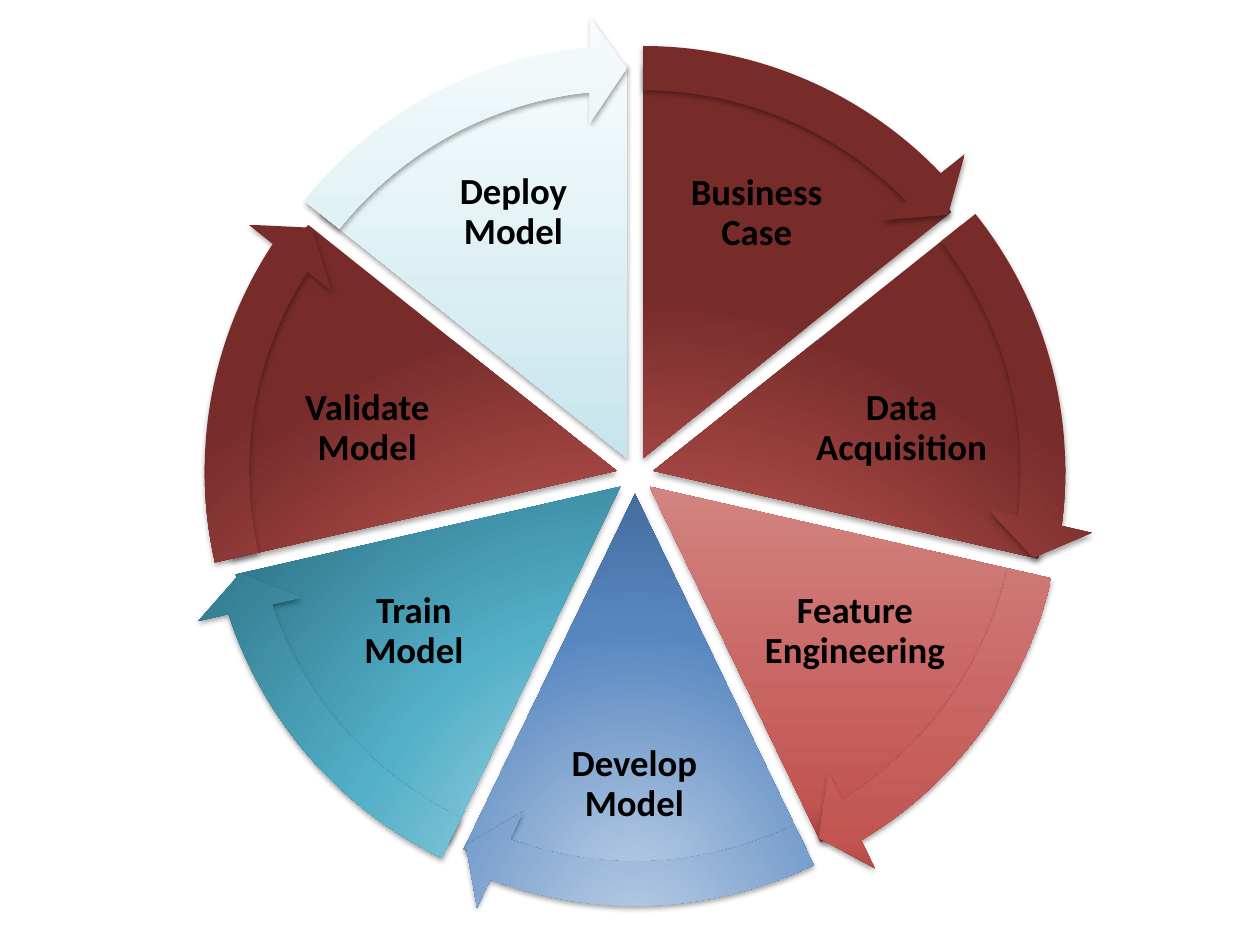
import math

from lxml import etree
from pptx import Presentation
from pptx import util as u
from pptx.dml.color import RGBColor
from pptx.enum import shapes, text
from pptx.oxml import ns

BLACK = RGBColor(0x00, 0x00, 0x00)


def stops(*pairs):
    """Return gradient stops as (percent, colour) pairs."""
    return [(position, RGBColor.from_string(colour)) for position, colour in pairs]


# Each gradient has stops and an angle; no angle means a radial gradient.
DARK_RED = (stops((0, "E6B9B8"), (46, "C35956"), (100, "772C2A")), None)
LIGHT_RED = (stops((0, "85312F"), (10, "C25552"), (66, "D99694")), 270)
BLUE = (stops((0, "B9CDE5"), (46, "5887C0"), (100, "2C4D75")), None)
TEAL = (stops((0, "B7DEE8"), (46, "54B0C9"), (100, "276A7C")), None)
PALE = (stops((0, "F6FBFC"), (74, "AEDAE5"), (83, "AEDAE5"), (100, "C9E6EE")), 90)

# Label, label box (left, top, width, height), gradient
STAGES = [
    ("Business Case", (5.26, 1.10, 1.49, 1.19), DARK_RED),
    ("Data Acquisition", (6.30, 2.88, 1.71, 1.04), DARK_RED),
    ("Feature Engineering", (6.04, 4.44, 1.49, 1.15), LIGHT_RED),
    ("Develop Model", (4.31, 5.71, 1.45, 1.04), BLUE),
    ("Train Model", (2.54, 4.44, 1.49, 1.15), TEAL),
    ("Validate Model", (2.06, 2.88, 1.71, 1.04), DARK_RED),
    ("Deploy Model", (3.33, 1.09, 1.49, 1.19), PALE),
]
CENTER_X, CENTER_Y = 5.04, 3.77
SLICE_OFFSET = 0.15
PIE_SIZE, ARROW_SIZE = 6.26, 7.03
DEGREE = 0.6  # one degree in adjustment units
FULL_TURN = 360 * DEGREE
HEAD_ANGLE = 3.275


def add_round_shape(kind, center, size, adjustments, gradient):
    """Add a shaded, shadowed preset shape around a centre point."""
    left, top = (u.Inches(value - size / 2) for value in center)
    shape = wheel.shapes.add_shape(kind, left, top, u.Inches(size), u.Inches(size))
    for index, value in enumerate(adjustments):
        shape.adjustments[index] = value
    shape.line.fill.background()
    shape.fill.background()
    shape.shadow.inherit = False

    properties = shape.element.spPr
    gradient_fill = etree.Element(ns.qn("a:gradFill"), rotWithShape="1")
    stop_list = etree.SubElement(gradient_fill, ns.qn("a:gsLst"))
    gradient_stops, angle = gradient
    for position, colour in gradient_stops:
        stop = etree.SubElement(stop_list, ns.qn("a:gs"), pos=str(position * 1000))
        etree.SubElement(stop, ns.qn("a:srgbClr"), val=str(colour))
    if angle is None:
        radial = etree.SubElement(gradient_fill, ns.qn("a:path"), path="circle")
        etree.SubElement(radial, ns.qn("a:fillToRect"),
                         l="50000", t="130000", r="50000", b="-30000")
    else:
        etree.SubElement(gradient_fill, ns.qn("a:lin"), ang=str(angle * 60000), scaled="0")
    properties.replace(properties.find(ns.qn("a:noFill")), gradient_fill)

    shadow = etree.SubElement(properties.find(ns.qn("a:effectLst")), ns.qn("a:outerShdw"),
                              blurRad=str(u.Pt(3.1)), dist=str(u.Pt(1.8)),
                              dir=str(90 * 60000), rotWithShape="0")
    shadow_colour = etree.SubElement(shadow, ns.qn("a:srgbClr"), val=str(BLACK))
    etree.SubElement(shadow_colour, ns.qn("a:alpha"), val="35000")


def add_label(words, box, *, size=21, font="Calibri", colour=BLACK, bold=True):
    """Add a centred, wrapping text label."""
    label = wheel.shapes.add_textbox(*(u.Inches(value) for value in box))
    frame = label.text_frame
    frame.word_wrap = True
    frame.vertical_anchor = text.MSO_ANCHOR.MIDDLE
    frame.margin_left = frame.margin_right = u.Inches(0.03)
    frame.margin_top = frame.margin_bottom = u.Inches(0.03)
    paragraph = frame.paragraphs[0]
    paragraph.alignment = text.PP_ALIGN.CENTER
    paragraph.line_spacing = 0.9
    paragraph.space_after = u.Pt(size * 0.35)
    run = paragraph.add_run()
    run.text = words
    run.font.size = u.Pt(size)
    run.font.name = font
    run.font.bold = bold
    run.font.color.rgb = colour


presentation = Presentation()
presentation.slide_width = u.Inches(10)
presentation.slide_height = u.Inches(7.5)
slide = presentation.slides.add_slide(presentation.slide_layouts[6])
wheel = slide.shapes.add_group_shape()

step = 360 / len(STAGES)
arrows = []
for index, (words, box, gradient) in enumerate(STAGES):
    start_degrees = 270 + index * step
    middle = math.radians(start_degrees + step / 2)
    center = (CENTER_X + SLICE_OFFSET * math.cos(middle),
              CENTER_Y + SLICE_OFFSET * math.sin(middle))
    start = start_degrees * DEGREE % FULL_TURN
    end = (start_degrees + step) * DEGREE % FULL_TURN
    # The closing slice ends exactly where the first one starts.
    add_round_shape(shapes.MSO_SHAPE.PIE, center, PIE_SIZE, (start, end), gradient)
    add_label(words, box)
    arrows.append((center, (0.05, HEAD_ANGLE, end - HEAD_ANGLE, start, 0.06), gradient))

# Arrows lie in front of every slice.
for center, adjustments, gradient in arrows:
    add_round_shape(shapes.MSO_SHAPE.CIRCULAR_ARROW, center, ARROW_SIZE, adjustments, gradient)

presentation.save("out.pptx")
